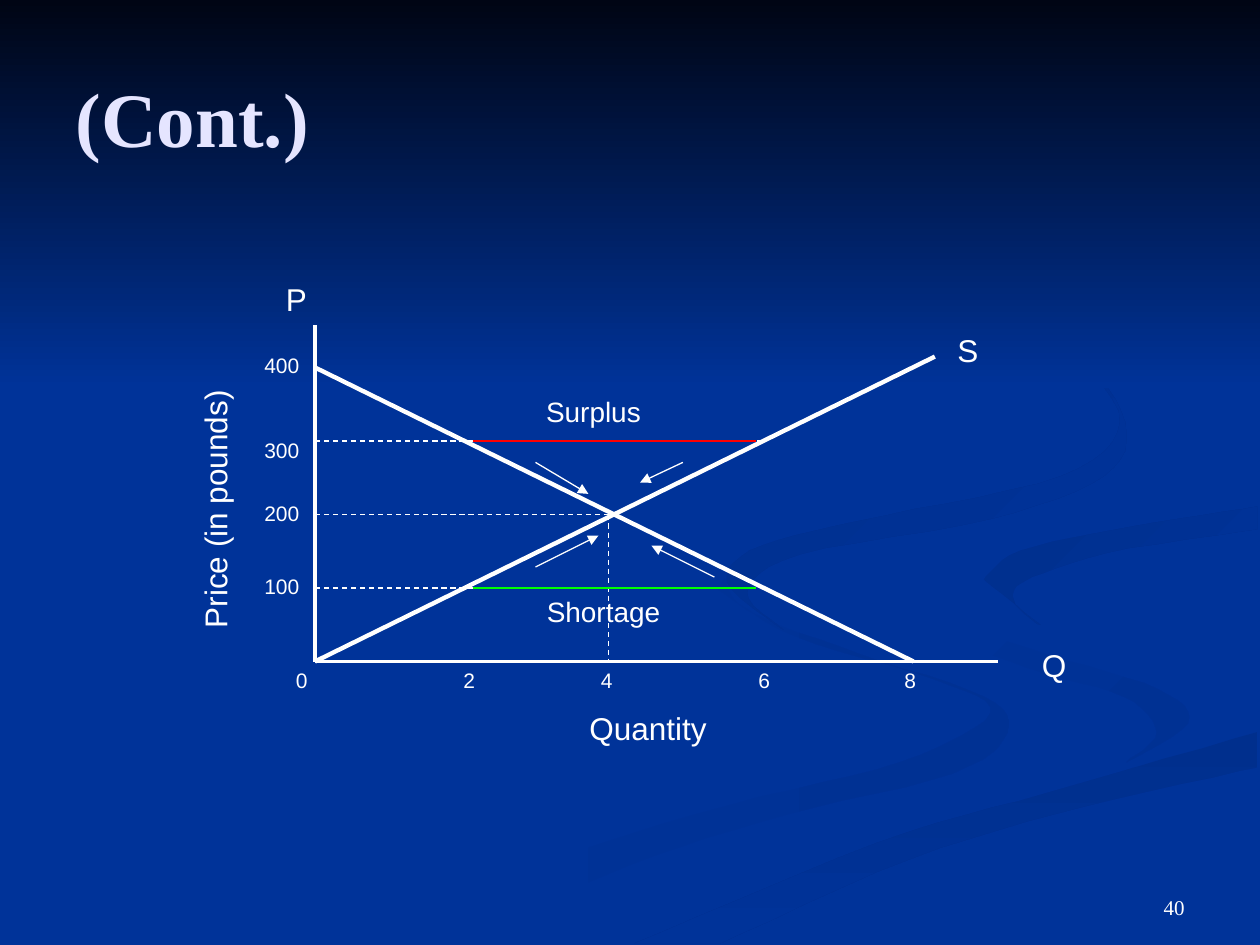
from lxml import etree
from pptx import Presentation
from pptx.dml.color import RGBColor
from pptx.enum.dml import MSO_LINE
from pptx.enum.shapes import MSO_CONNECTOR
from pptx.enum.text import MSO_ANCHOR, PP_ALIGN
from pptx.oxml.ns import qn
from pptx.util import Emu, Pt

DASH, STRAIGHT = MSO_LINE.DASH, MSO_CONNECTOR.STRAIGHT
LEFT, CENTER, RIGHT = PP_ALIGN.LEFT, PP_ALIGN.CENTER, PP_ALIGN.RIGHT
TOP, MIDDLE, BOTTOM = MSO_ANCHOR.TOP, MSO_ANCHOR.MIDDLE, MSO_ANCHOR.BOTTOM

PX = 9144  # EMU per px, 100 px to the inch
WIDE, HIGH = 1000, 750

THEME = {
    "back": "003399", "night": "000514", "ink": "FFFFFF", "title": "E5E5FF",
    "dusk": "003193", "shade": "002F8D",
    "surplus": "FF0000", "shortage": "00FF00",
    "sans": "Arial", "serif": "Times New Roman",
    "head": 44, "name": 18, "zone": 16, "tick": 12,
    "thin": 0.75, "axis": 1.75, "curve": 2.5,
}

# Ribbons: first colour, last colour, angle, one edge, the edge back
RIBBONS = [
    ("back", "dusk", 0,
     [(575, 459), (594, 485), (682, 519), (781, 553), (800, 581), (756, 614),
      (623, 647), (499, 687), (361, 749)],
     [(300, 749), (417, 690), (579, 639), (714, 605), (786, 566), (741, 539),
      (631, 505), (570, 468)]),
    ("back", "dusk", 45,
     [(724, 464), (745, 490), (830, 519), (919, 547), (943, 574), (894, 605)],
     [(894, 605), (918, 581), (892, 553), (815, 530), (746, 500), (724, 464)]),
    ("shade", "back", 90,
     [(503, 749), (696, 669), (832, 629), (998, 581)],
     [(998, 609), (861, 640), (722, 682), (571, 749)]),
    ("shade", "back", 45,
     [(781, 460), (810, 437), (898, 418), (998, 402)],
     [(998, 420), (878, 439), (812, 462), (806, 480), (826, 496), (781, 460)]),
    ("shade", "back", 45,
     [(762, 233), (846, 279), (889, 335), (842, 378), (704, 409), (605, 433),
      (577, 462), (622, 500)],
     [(622, 500), (593, 470), (635, 440), (786, 412), (876, 378), (893, 335),
      (854, 283), (762, 233)]),
]
SKY = [(0, 0), (0, 308), (WIDE, 308), (WIDE, 0)]

LEFT_X, BASE = ZERO = (250, 525)  # where the axes meet
MID = 483                         # x of the equilibrium


def level(price):
    """Return the y of a price on the vertical axis."""
    return BASE - price * 7 / 12


LOW, EVEN, UPPER, PEAK = (level(p) for p in (100, 200, 300, 400))

# Lines: start, end, colour, weight
LINES = [
    ((LEFT_X, 258), ZERO, "ink", "axis"),
    (ZERO, (792, BASE), "ink", "axis"),
    (ZERO, (742, 283), "ink", "curve"),
    ((LEFT_X, PEAK), (725, BASE), "ink", "curve"),
]
GUIDES = [
    ((LEFT_X, LOW), (600, LOW)),
    ((LEFT_X, EVEN), (MID, EVEN)),
    ((LEFT_X, UPPER), (608, UPPER)),
    ((MID, EVEN), (MID, BASE)),
]
GAPS = {"surplus": UPPER, "shortage": LOW}
ARROWS = [
    ((425, 367), (467, 392)),
    ((542, 367), (508, 383)),
    ((425, 450), (475, 425)),
    ((567, 458), (517, 433)),
]

# Labels: text, box, size, then format
LABELS = [
    ("Quantity", (458, 558, 133, 40), "name", {}),
    ("Price (in pounds)", (12, 330, 317, 40), "name", {"turn": 270}),
    ("P", (217, 217, 42, 40), "name", {}),
    ("Q", (817, 508, 42, 40), "name", {}),
    ("S", (750, 258, 42, 40), "name", {}),
    ("Shortage", (383, 467, 192, 37), "zone", {"align": CENTER}),
    ("Surplus", (375, 308, 192, 37), "zone", {"align": CENTER}),
    ("40", (717, 683, 233, 52), "tick",
     {"align": RIGHT, "anchor": BOTTOM, "face": "serif"}),
]
AMOUNTS = {"0": 225, "2": 358, "4": 467, "6": 592, "8": 708}
PRICES = {"100": 450, "200": 392, "300": 342, "400": 275}
LABELS += [(t, (x, BASE, 33, 30), "tick", {}) for t, x in AMOUNTS.items()]
LABELS += [(t, (200, y, 50, 30), "tick", {}) for t, y in PRICES.items()]


def emu(*vals):
    return [Emu(round(v * PX)) for v in vals]


def rgb(name):
    return RGBColor.from_string(THEME[name])


def smooth(knots, steps=6):
    """Return points on a Catmull-Rom curve through the knots."""
    ends = [knots[0], *knots, knots[-1]]
    curve = [knots[0]]
    for quad in zip(ends, ends[1:], ends[2:], ends[3:]):
        for i in range(1, steps + 1):
            t = i / steps
            curve.append(tuple(
                b + t * (c - a + t * (2 * a - 5 * b + 4 * c - d
                                      + t * (3 * b - a - 3 * c + d))) / 2
                for a, b, c, d in zip(*quad)))
    return curve


def write(shape, text, size, color="ink", face="sans", bold=False,
          align=LEFT, anchor=TOP):
    frame = shape.text_frame
    frame.word_wrap, frame.vertical_anchor = True, anchor
    para = frame.paragraphs[0]
    para.text, para.alignment = text, align
    font = para.runs[0].font
    form = {"name": THEME[face], "size": Pt(THEME[size]), "bold": bold}
    for key, val in form.items():
        setattr(font, key, val)
    font.color.rgb = rgb(color)


def add_band(shapes, first, last, angle, points):
    pen = shapes.build_freeform(*points[0], scale=PX)
    pen.add_line_segments(points[1:], close=True)
    band = pen.convert_to_shape()
    band.shadow.inherit = False
    band.line.fill.background()
    band.fill.gradient()
    band.fill.gradient_angle = -angle % 360
    for stop, color in zip(band.fill.gradient_stops, (first, last)):
        stop.color.rgb = rgb(color)


def add_line(shapes, start, end, color="ink", weight="thin", dash=None,
             arrow=False):
    link = shapes.add_connector(STRAIGHT, *emu(*start, *end))
    link.line.color.rgb = rgb(color)
    link.line.width = Pt(THEME[weight])
    if dash:
        link.line.dash_style = dash
    props = link._element.spPr
    if arrow:
        etree.SubElement(props.find(qn("a:ln")), qn("a:tailEnd"), type="triangle")
    etree.SubElement(props, qn("a:effectLst"))


def add_label(shapes, text, box, size, turn=0, **form):
    label = shapes.add_textbox(*emu(*box))
    label.rotation = turn
    write(label, text, size, **form)


def main():
    deck = Presentation()
    deck.slide_width, deck.slide_height = emu(WIDE, HIGH)
    slide = deck.slides.add_slide(deck.slide_layouts[5])
    slide.background.fill.solid()
    slide.background.fill.fore_color.rgb = rgb("back")
    shapes = slide.shapes
    for *look, out, home in RIBBONS:
        add_band(shapes, *look, smooth(out) + smooth(home))
    add_band(shapes, "night", "back", 90, SKY)
    title = shapes.title
    title.left, title.top, title.width, title.height = emu(50, 30, 900, 125)
    write(title, "(Cont.)", "head", "title", "serif", True, LEFT, MIDDLE)
    shapes._spTree.append(title._element)  # in front of the bands
    for guide in GUIDES:
        add_line(shapes, *guide, dash=DASH)
    for line in LINES:
        add_line(shapes, *line)
    for color, y in GAPS.items():
        add_line(shapes, (375, y), (600, y), color)
    for arrow in ARROWS:
        add_line(shapes, *arrow, arrow=True)
    for *label, form in LABELS:
        add_label(shapes, *label, **form)
    deck.save("out.pptx")


if __name__ == "__main__":
    main()
